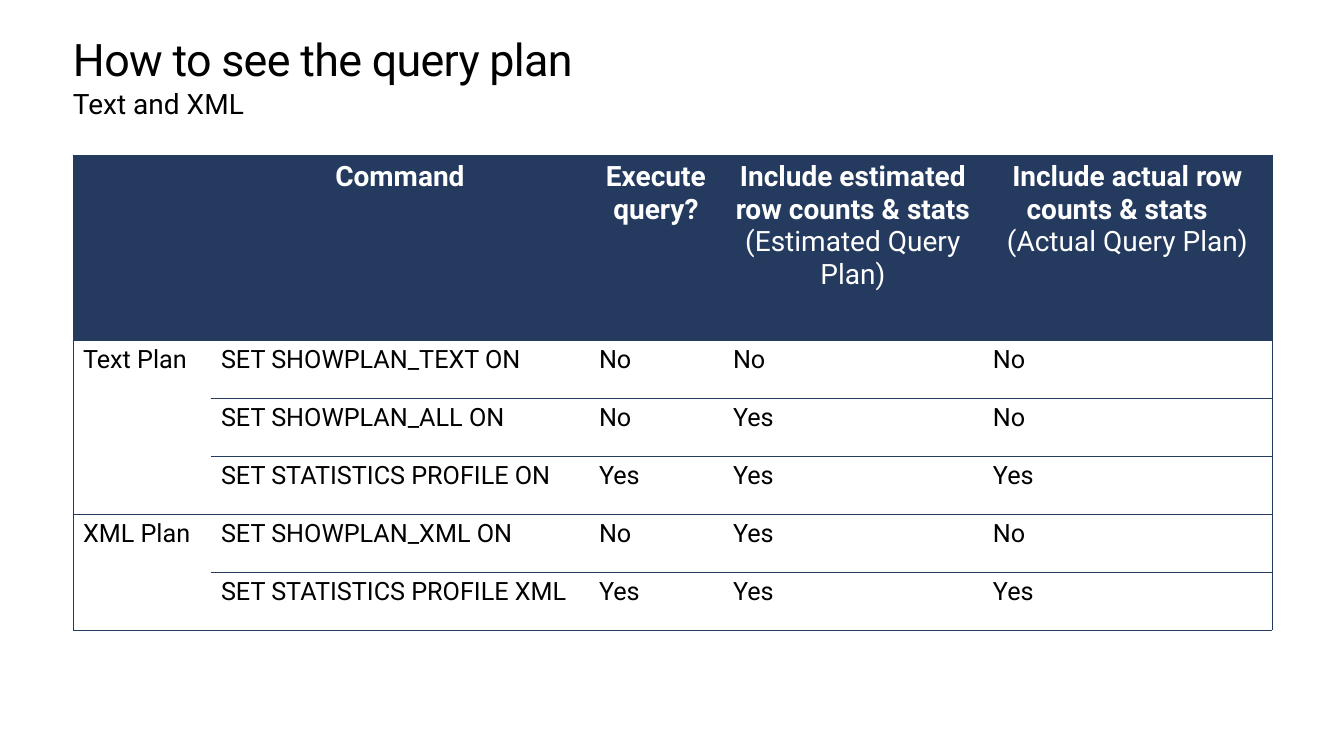
from lxml.etree import SubElement
from pptx import Presentation
from pptx.dml.color import RGBColor
from pptx.enum.text import PP_ALIGN
from pptx.oxml.ns import qn
from pptx.util import Pt

SCALE = 914400 / 100.8
COLORS = {"navy": "243A5E", "white": "FFFFFF", "black": "000000"}
COLUMN_WIDTHS = [138, 378, 134, 260, 289]
HEADER_HEIGHT = 185
ROW_HEIGHT = 58
HEADERS = [
    [],
    [[("Command", True)]],
    [[("Execute query?", True)]],
    [[("Include estimated row counts & stats", True), (" (Estimated Query Plan)", False)]],
    [[("Include actual row counts & stats\t", True)], [("(Actual Query Plan)", False)]],
]
PLANS = {
    "Text Plan": [
        ("SET SHOWPLAN_TEXT ON", "No", "No", "No"),
        ("SET SHOWPLAN_ALL ON", "No", "Yes", "No"),
        ("SET STATISTICS PROFILE ON", "Yes", "Yes", "Yes"),
    ],
    "XML Plan": [
        ("SET SHOWPLAN_XML ON", "No", "Yes", "No"),
        ("SET STATISTICS PROFILE XML", "Yes", "Yes", "Yes"),
    ],
}


def px(length):
    return round(length * SCALE)


def add_text(paragraph, text, size=18, color="black", bold=False, spacing=None):
    run = paragraph.add_run()
    run.text = text
    run.font.name = "Roboto"
    run.font.size = Pt(size)
    run.font.bold = bold
    run.font.color.rgb = RGBColor.from_string(COLORS[color])
    if spacing is not None:
        run.font._element.set("spc", str(spacing))


def add_heading(slide, text, top, line_spacing=None, **text_format):
    box = slide.shapes.add_textbox(px(73), px(top), px(1199), px(50))
    frame = box.text_frame
    frame.word_wrap = True
    frame.margin_left = frame.margin_right = frame.margin_top = frame.margin_bottom = 0
    paragraph = frame.paragraphs[0]
    paragraph.line_spacing = line_spacing
    add_text(paragraph, text, **text_format)
    return box


def style_cell(cell, sides, fill=None):
    properties = cell._tc.get_or_add_tcPr()
    for side in "LRTB":
        line = SubElement(properties, qn(f"a:ln{side}"), w=str(Pt(0.5)))
        if side in sides:
            solid = SubElement(line, qn("a:solidFill"))
            SubElement(solid, qn("a:srgbClr"), val=COLORS["navy"])
        else:
            SubElement(line, qn("a:noFill"))
    if fill:
        cell.fill.solid()
        cell.fill.fore_color.rgb = RGBColor.from_string(COLORS[fill])
    else:
        cell.fill.background()


def fill_header(table):
    for column, paragraphs in enumerate(HEADERS):
        frame = table.cell(0, column).text_frame
        for index, runs in enumerate(paragraphs):
            paragraph = frame.add_paragraph() if index else frame.paragraphs[0]
            paragraph.alignment = PP_ALIGN.CENTER
            for text, bold in runs:
                add_text(paragraph, text, size=20, color="white", bold=bold)


def fill_plans(table):
    first = 1
    for plan, commands in PLANS.items():
        last = first + len(commands) - 1
        plan_cell = table.cell(first, 0)
        plan_cell.merge(table.cell(last, 0))
        add_text(plan_cell.text_frame.paragraphs[0], plan)
        for row, values in enumerate(commands, first):
            for column, value in enumerate(values, 1):
                add_text(table.cell(row, column).text_frame.paragraphs[0], value)
        first = last + 1


def add_plan_table(slide):
    row_count = 1 + sum(len(commands) for commands in PLANS.values())
    height = HEADER_HEIGHT + ROW_HEIGHT * (row_count - 1)
    frame = slide.shapes.add_table(
        row_count, len(COLUMN_WIDTHS), px(73), px(155), px(sum(COLUMN_WIDTHS)), px(height)
    )
    table = frame.table
    table.horz_banding = False
    for column, width in zip(table.columns, COLUMN_WIDTHS):
        column.width = px(width)
    for index, row in enumerate(table.rows):
        row.height = px(ROW_HEIGHT if index else HEADER_HEIGHT)
    fill_header(table)
    fill_plans(table)
    last_column = len(COLUMN_WIDTHS) - 1
    for row in range(row_count):
        for column in range(last_column + 1):
            cell = table.cell(row, column)
            sides = "" if cell.is_spanned else "T"
            next_is_spanned = row + 1 < row_count and table.cell(row + 1, column).is_spanned
            if cell.is_merge_origin or not next_is_spanned:
                sides += "B"
            if column == 0:
                sides += "L"
            if column == last_column:
                sides += "R"
            style_cell(cell, sides, None if row else "navy")


def main():
    presentation = Presentation()
    presentation.slide_width = px(1344)
    presentation.slide_height = px(756)
    slide = presentation.slides.add_slide(presentation.slide_layouts[6])
    title = add_heading(
        slide, "How to see the query plan", 35, line_spacing=Pt(36.2), size=32, spacing=-50
    )
    title.fill.solid()
    title.fill.fore_color.rgb = RGBColor.from_string(COLORS["white"])
    add_heading(slide, "Text and XML", 87, size=20)
    add_plan_table(slide)
    presentation.save("out.pptx")


if __name__ == "__main__":
    main()
